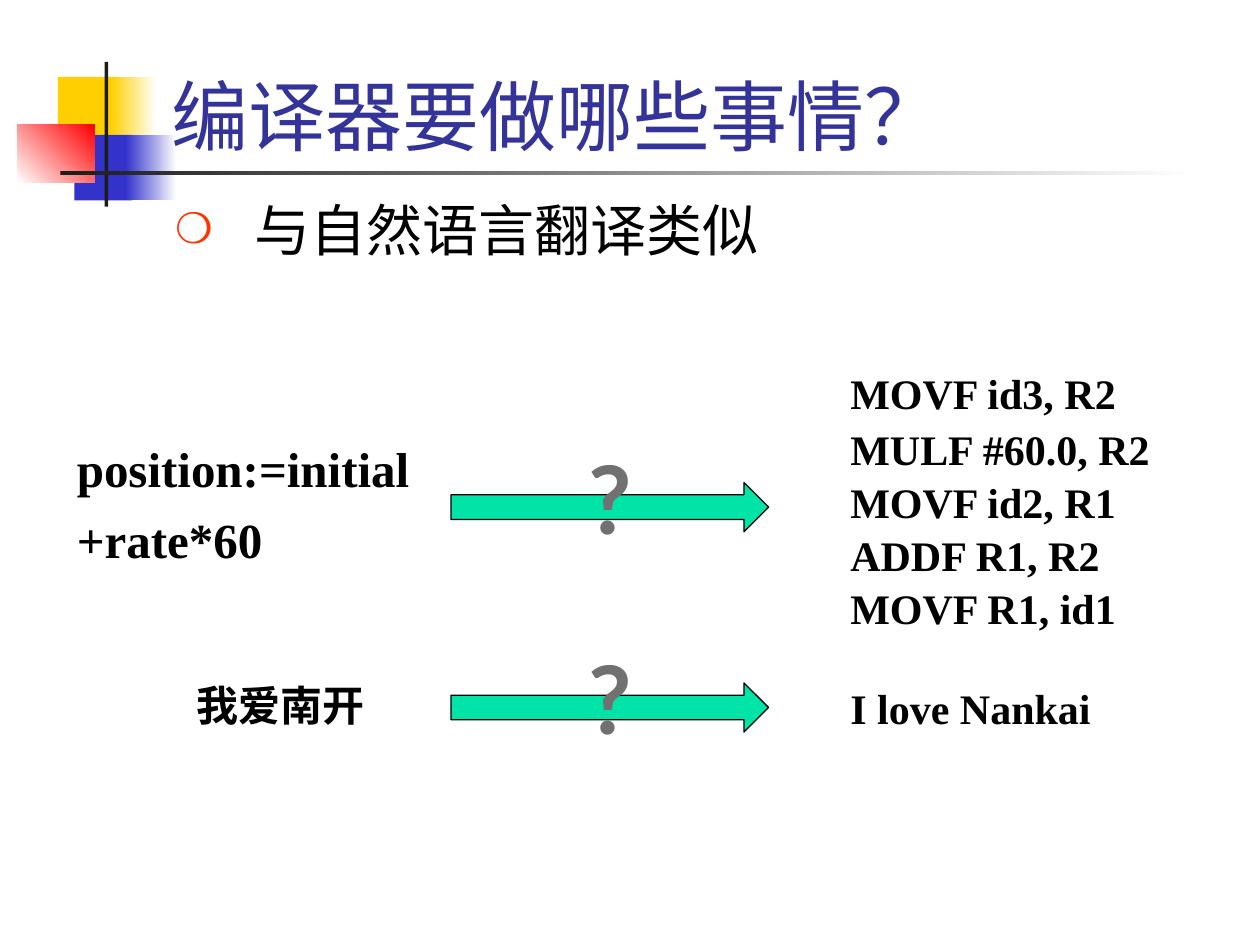
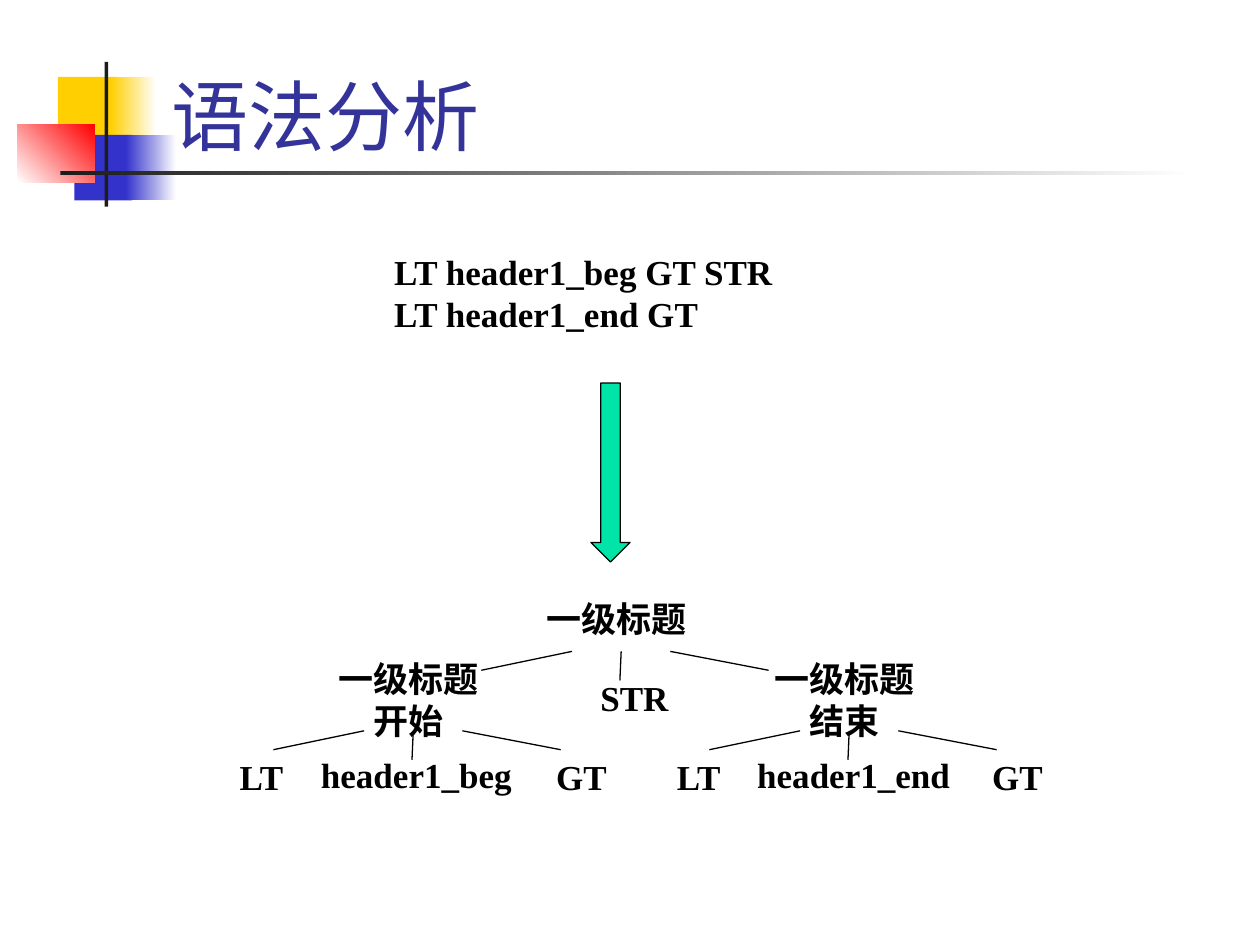
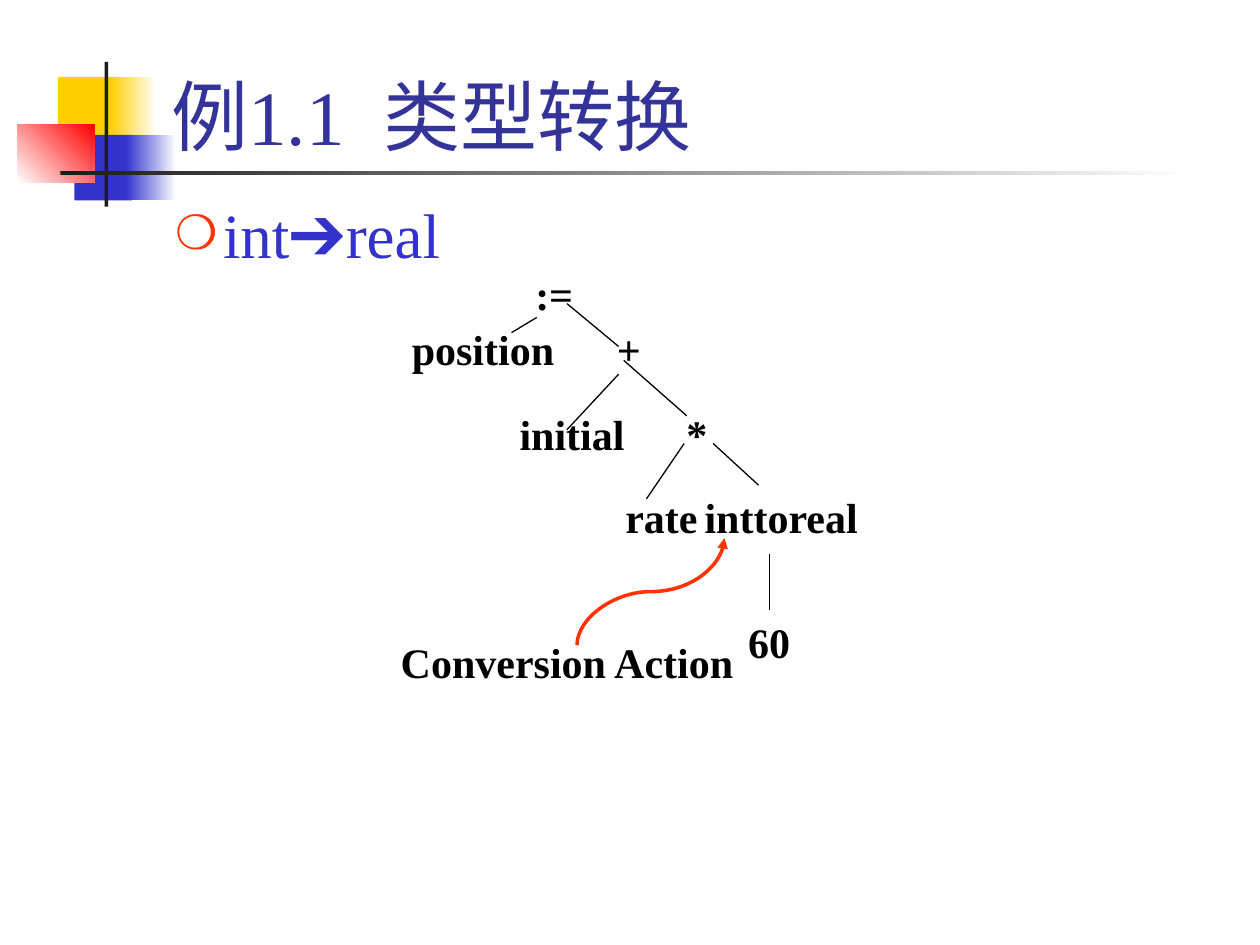
"""Build three slides on compiler basics: translation, syntax analysis and type conversion."""
from lxml.etree import SubElement
from pptx import Presentation
from pptx.dml.color import RGBColor
from pptx.enum.shapes import MSO_CONNECTOR, MSO_SHAPE
from pptx.enum.text import MSO_ANCHOR, MSO_AUTO_SIZE, PP_ALIGN
from pptx.oxml.ns import qn
from pptx.util import Pt

PX = 9144
FONT = "Times New Roman"
BLACK, WHITE, CHARCOAL = "000000", "FFFFFF", "1C1C1C"
YELLOW, BLUE, RED = "FFCF01", "3333CC", "FF0000"
TITLE_COLOR, ARROW_GREEN, ACCENT, GREY = "333399", "00E4A8", "FF3300", "717171"
LEFT, CENTER = PP_ALIGN.LEFT, PP_ALIGN.CENTER
TITLE_BOX = (126, 8, 852, 125)
LIST_BOX = (129, 150, 850, 517)

color = RGBColor.from_string


def write(shape, box, text, size, hex_color=BLACK, bold=True, align=LEFT, font=FONT):
    """Place a text shape, fill it with text and format every run."""
    shape.left, shape.top, shape.width, shape.height = [value * PX for value in box]
    frame = shape.text_frame
    frame.text = text
    frame.word_wrap = True
    frame.auto_size = MSO_AUTO_SIZE.NONE
    for paragraph in frame.paragraphs:
        paragraph.alignment = align
        paragraph.space_before = Pt(0)
        for run in paragraph.runs:
            run.font.name = font
            run.font.size = Pt(size)
            run.font.bold = bold
            run.font.color.rgb = color(hex_color)
    return frame


def connect(slide, kind, ends, hex_color=BLACK, width=0.75):
    """Draw a connector without shadow between two points."""
    connector = slide.shapes.add_connector(kind, *[value * PX for value in ends])
    connector.line.color.rgb = color(hex_color)
    connector.line.width = Pt(width)
    SubElement(connector._element.spPr, qn("a:effectLst"))
    return connector


presentation = Presentation()
presentation.slide_width = 1000 * PX
presentation.slide_height = 750 * PX

slides = []
for title, layout_index in (("编译器要做哪些事情？", 3), ("语法分析", 5), ("例1.1  类型转换", 1)):
    slide = presentation.slides.add_slide(presentation.slide_layouts[layout_index])
    frame = write(slide.shapes.title, TITLE_BOX, title, 44, TITLE_COLOR, False)
    frame.vertical_anchor = MSO_ANCHOR.BOTTOM
    slides.append(slide)
translation, syntax, conversion = slides

master_tree = presentation.slide_master.shapes._spTree
decorations = (
    ((46, 61, 48, 52), (YELLOW,), 0),
    ((88, 61, 36, 52), (YELLOW, WHITE), 0),
    ((59, 107, 46, 52), (BLUE,), 0),
    ((100, 107, 40, 52), (BLUE, WHITE), 0),
    ((14, 99, 61, 46), (WHITE, RED), 45),
    ((83, 49, 3, 115), (CHARCOAL,), 0),
    ((48, 136, 900, 3), (CHARCOAL, WHITE), 0),
)
for position, (box, fill_colors, angle) in enumerate(decorations, start=2):
    shape = translation.shapes.add_shape(MSO_SHAPE.RECTANGLE, *[value * PX for value in box])
    shape.shadow.inherit = False
    shape.line.fill.background()
    if len(fill_colors) == 1:
        shape.fill.solid()
        shape.fill.fore_color.rgb = color(fill_colors[0])
    else:
        shape.fill.gradient()
        shape.fill.gradient_angle = angle
        for stop, hex_color in zip(shape.fill.gradient_stops, fill_colors):
            stop.color.rgb = color(hex_color)
    master_tree.insert(position, shape._element)

source_code = write(translation.placeholders[1], (51, 343, 307, 142), "position:=initial\n+rate*60", 28)
source_code.paragraphs[1].space_before = Pt(7)
topic = write(translation.placeholders[2], LIST_BOX, "与自然语言翻译类似", 32, bold=False)
example = write(conversion.placeholders[1], LIST_BOX, "int➔real", 36, BLUE, False)
for frame, indent, bullet in ((source_code, 38, None), (topic, 63, "❍"), (example, 38, "❍")):
    for paragraph in frame.paragraphs:
        properties = paragraph._p.get_or_add_pPr()
        properties.set("marL", str(indent * PX))
        properties.set("indent", str(-indent * PX))
        if bullet:
            bullet_color = SubElement(properties, qn("a:buClr"))
            SubElement(bullet_color, qn("a:srgbClr"), val=ACCENT)
            SubElement(properties, qn("a:buSzPct"), val="75000")
            SubElement(properties, qn("a:buChar"), char=bullet)
        else:
            SubElement(properties, qn("a:buNone"))

assembly = "MOVF id3, R2\nMULF #60.0, R2\nMOVF id2, R1\nADDF R1, R2\nMOVF R1, id1"
for box, text in (
    ((665, 287, 299, 230), assembly),
    ((146, 534, 197, 69), "我爱南开"),
    ((665, 537, 299, 111), "I love Nankai"),
):
    frame = write(translation.shapes.add_textbox(0, 0, 0, 0), box, text, 24)
    for paragraph in frame.paragraphs[1:]:
        paragraph.line_spacing = 0.6
        paragraph.space_before = Pt(13)

for slide, kind, box in (
    (translation, MSO_SHAPE.RIGHT_ARROW, (358, 383, 252, 39)),
    (translation, MSO_SHAPE.RIGHT_ARROW, (358, 542, 252, 39)),
    (syntax, MSO_SHAPE.DOWN_ARROW, (469, 304, 31, 142)),
):
    arrow = slide.shapes.add_shape(kind, *[value * PX for value in box])
    arrow.shadow.inherit = False
    arrow.fill.solid()
    arrow.fill.fore_color.rgb = color(ARROW_GREEN)
    arrow.line.color.rgb = color(BLACK)
    arrow.line.width = Pt(0.75)

for top in (344, 503):
    question = translation.shapes.add_textbox(0, 0, 0, 0)
    frame = write(question, (453, top, 63, 101), "?", 54, GREY, align=CENTER, font="Lato")
    frame.word_wrap = False

tokens = "LT header1_beg GT STR LT header1_end GT"
write(syntax.shapes.add_textbox(0, 0, 0, 0), (303, 194, 354, 55), tokens, 20)

subtrees = (
    (493, 517, (("一级标题", -80, -48, 152), ("STR", -80, 15, 181))),
    (328, 580, (("一级标题开始", -80, -63, 152), ("LT", -151, 15, 61),
                ("header1_beg", -88, 13, 181), ("GT", 103, 15, 61))),
    (674, 580, (("一级标题结束", -80, -63, 152), ("LT", -150, 15, 61),
                ("header1_end", -87, 13, 181), ("GT", 103, 15, 61))),
)
for middle, top, labels in subtrees:
    for start, end, drop in ((-39, -111, 15), (0, -1, 23), (39, 117, 15)):
        connect(syntax, MSO_CONNECTOR.STRAIGHT, (middle + start, top, middle + end, top + drop))
    for text, across, down, width in labels:
        box = (middle + across, top + down, width, 44)
        write(syntax.shapes.add_textbox(0, 0, 0, 0), box, text, 20, align=CENTER)

tree_nodes = (
    (":=", 415, 208, 80, LEFT),
    ("position", 317, 252, 150, LEFT),
    ("+", 459, 252, 80, CENTER),
    ("initial", 379, 319, 150, CENTER),
    ("*", 513, 319, 80, CENTER),
    ("rate", 450, 385, 150, CENTER),
    ("inttoreal", 540, 385, 160, CENTER),
    ("60", 575, 484, 71, CENTER),
    ("Conversion Action", 300, 500, 300, CENTER),
)
for text, left, top, width, align in tree_nodes:
    write(conversion.shapes.add_textbox(0, 0, 0, 0), (left, top, width, 50), text, 24, align=align)

for edge in (
    (426, 252, 406, 264),
    (450, 241, 491, 275),
    (491, 297, 450, 341),
    (495, 286, 545, 330),
    (543, 352, 513, 396),
    (566, 352, 602, 385),
    (611, 440, 611, 484),
):
    connect(conversion, MSO_CONNECTOR.STRAIGHT, edge)

pointer = connect(conversion, MSO_CONNECTOR.CURVE, (474, 411, 559, 528), ACCENT, 2)
pointer._element.spPr.find(qn("a:xfrm")).set("rot", "16200000")
SubElement(pointer.line._get_or_add_ln(), qn("a:tailEnd"), type="triangle")

presentation.save("out.pptx")
